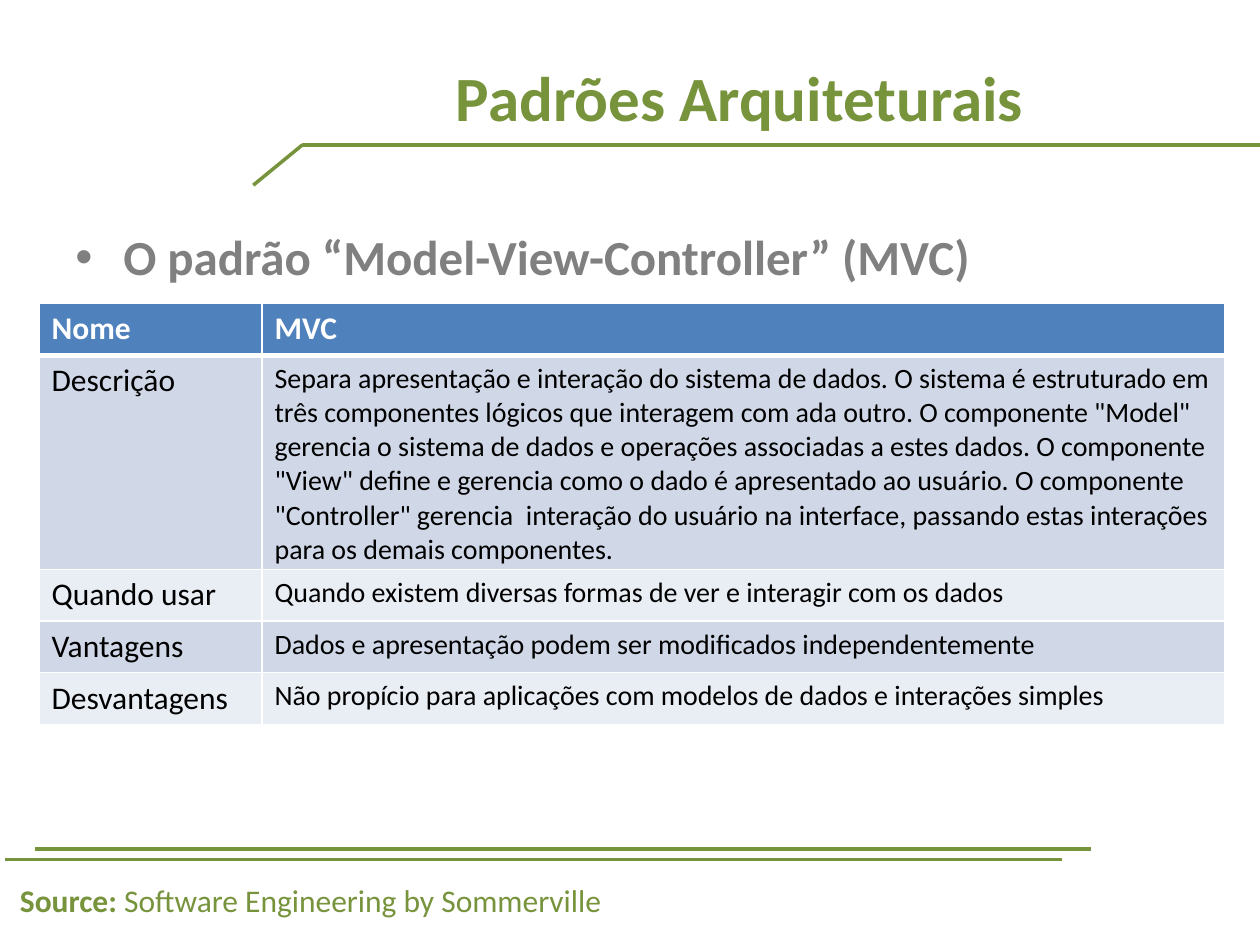
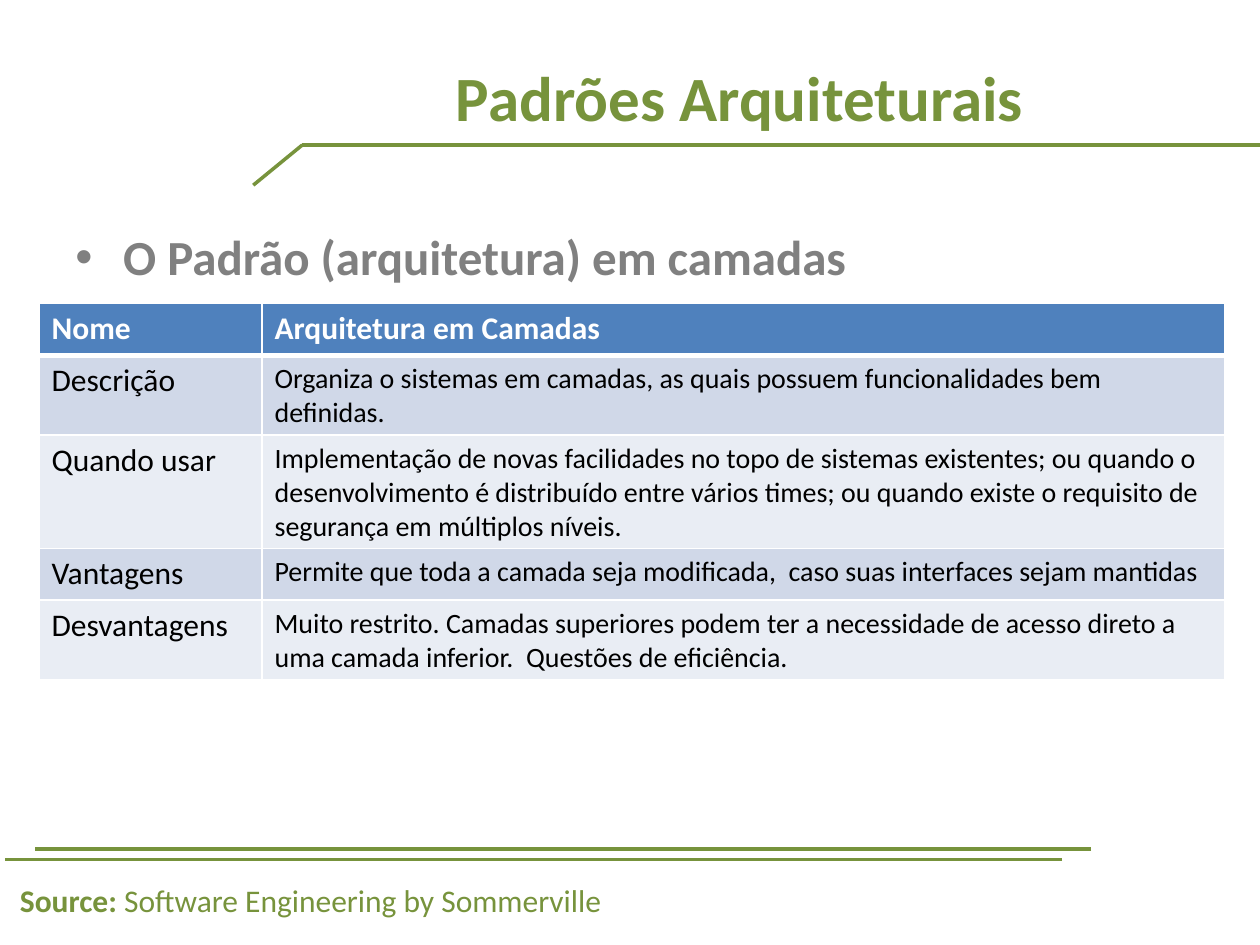
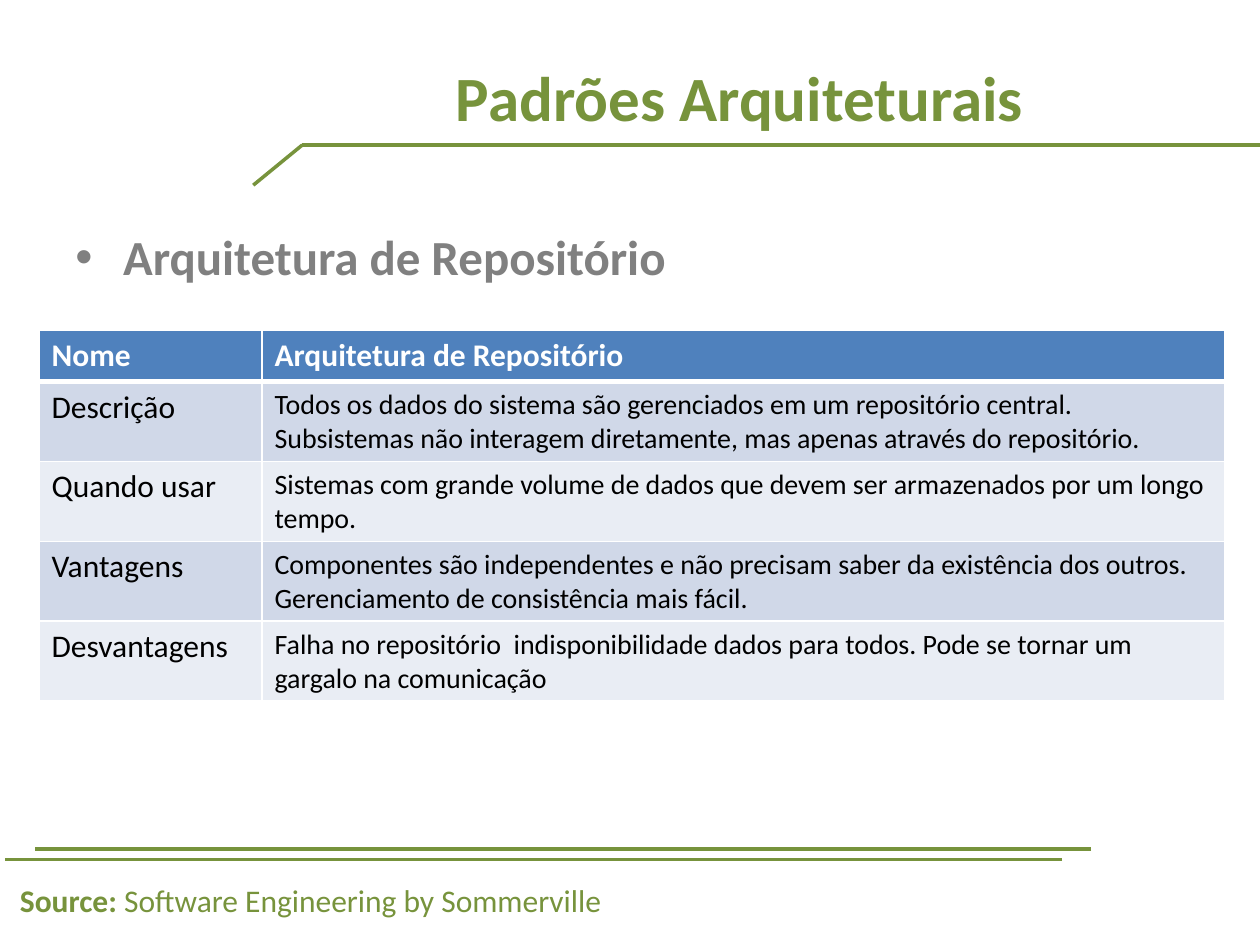
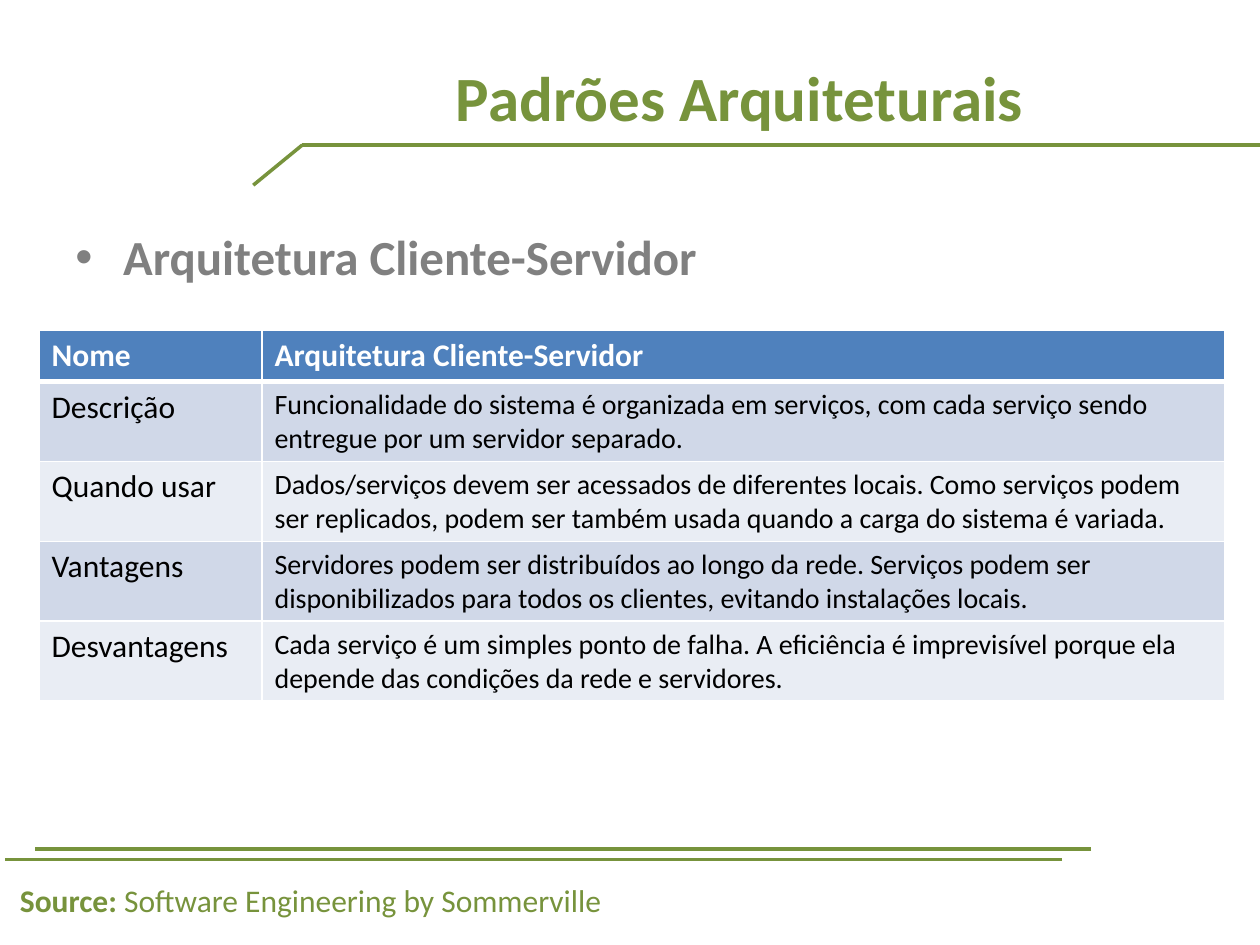
from dataclasses import dataclass

from lxml import etree
from pptx import Presentation
from pptx.dml.color import RGBColor
from pptx.enum.shapes import MSO_CONNECTOR
from pptx.enum.text import MSO_ANCHOR, MSO_AUTO_SIZE, PP_ALIGN
from pptx.oxml.ns import qn
from pptx.util import Inches, Pt

STRAIGHT = MSO_CONNECTOR.STRAIGHT
MIDDLE = MSO_ANCHOR.MIDDLE
CENTER = PP_ALIGN.CENTER
FIT_SHAPE = MSO_AUTO_SIZE.SHAPE_TO_FIT_TEXT
BLANK = 6


@dataclass(frozen=True)
class Theme:
    font: str = "Calibri"
    green: str = "77933C"
    grey: str = "808080"
    white: str = "FFFFFF"
    black: str = "000000"
    header: str = "4F81BD"
    bands: tuple = ("D0D8E8", "E9EDF4")
    title_size: int = 36
    topic_size: int = 28
    label_size: int = 18
    detail_size: int = 16
    rule_width: int = 2
    border_width: int = 1
    header_border: int = 3


THEME = Theme()
TITLE = "Padrões Arquiteturais"
ROW_LABELS = ("Nome", "Descrição", "Quando usar", "Vantagens", "Desvantagens")
COLUMN_WIDTHS = (1.77, 7.64)
ROW_HEIGHT = 0.41
RULES = (
    (8.66, 6.74, 0.28, 6.74),
    (8.43, 6.82, 0.04, 6.82),
    (10, 1.15, 2.4, 1.15),
    (2.4, 1.15, 2.01, 1.47),
)

# Topic, topic box size, table top and height, then one text per row label
PATTERNS = (
    ("O padrão “Model-View-Controller” (MVC)", (9.22, 0.82), 2.41, 3.32, (
        "MVC",
        "Separa apresentação e interação do sistema de dados. O sistema é "
        "estruturado em três componentes lógicos que interagem com ada outro. "
        "O componente \"Model\" gerencia o sistema de dados e operações "
        "associadas a estes dados. O componente \"View\" define e gerencia "
        "como o dado é apresentado ao usuário. O componente \"Controller\" "
        "gerencia  interação do usuário na interface, passando estas "
        "interações para os demais componentes.",
        "Quando existem diversas formas de ver e interagir com os dados",
        "Dados e apresentação podem ser modificados independentemente",
        "Não propício para aplicações com modelos de dados e interações simples",
    )),
    ("O Padrão (arquitetura) em camadas", (9, 4.95), 2.41, 2.98, (
        "Arquitetura em Camadas",
        "Organiza o sistemas em camadas, as quais possuem funcionalidades bem "
        "definidas.",
        "Implementação de novas facilidades no topo de sistemas existentes; ou "
        "quando o desenvolvimento é distribuído entre vários times; ou quando "
        "existe o requisito de segurança em múltiplos níveis.",
        "Permite que toda a camada seja modificada,  caso suas interfaces "
        "sejam mantidas",
        "Muito restrito. Camadas superiores podem ter a necessidade de acesso "
        "direto a  uma camada inferior.  Questões de eficiência.",
    )),
    ("Arquitetura de Repositório", (9, 0.58), 2.62, 2.94, (
        "Arquitetura de Repositório",
        "Todos os dados do sistema são gerenciados em um repositório central. "
        "Subsistemas não interagem diretamente, mas apenas através do "
        "repositório.",
        "Sistemas com grande volume de dados que devem ser armazenados por um "
        "longo tempo.",
        "Componentes são independentes e não precisam saber da existência dos "
        "outros. Gerenciamento de consistência mais fácil.",
        "Falha no repositório  indisponibilidade dados para todos. Pode se "
        "tornar um gargalo na comunicação",
    )),
    ("Arquitetura Cliente-Servidor", (9, 4.28), 2.62, 2.94, (
        "Arquitetura Cliente-Servidor",
        "Funcionalidade do sistema é organizada em serviços, com cada serviço "
        "sendo entregue por um servidor separado.",
        "Dados/serviços devem ser acessados de diferentes locais. Como "
        "serviços podem ser replicados, podem ser também usada quando a carga "
        "do sistema é variada.",
        "Servidores podem ser distribuídos ao longo da rede. Serviços podem "
        "ser disponibilizados para todos os clientes, evitando instalações "
        "locais.",
        "Cada serviço é um simples ponto de falha. A eficiência é imprevisível "
        "porque ela depende das condições da rede e servidores.",
    )),
)


def rgb(color):
    return RGBColor.from_string(color)


def style_run(r, size, color, bold):
    r.font.name = THEME.font
    r.font.size = Pt(size)
    r.font.color.rgb = rgb(color)
    r.font.bold = bold


def add_text(s, box, text, size, color):
    """Add a bold one-paragraph text box and return its text frame."""
    tf = s.shapes.add_textbox(*map(Inches, box)).text_frame
    tf.word_wrap = True
    tf.text = text
    style_run(tf.paragraphs[0].runs[0], size, color, True)
    return tf


def add_rule(s, x1, y1, x2, y2):
    line = s.shapes.add_connector(STRAIGHT, *map(Inches, (x1, y1, x2, y2)))
    line.line.color.rgb = rgb(THEME.green)
    line.line.width = Pt(THEME.rule_width)
    etree.SubElement(line._element.spPr, qn("a:effectLst"))


def add_frame(s):
    """Add the rules, source note and title that every slide shares."""
    for rule in RULES:
        add_rule(s, *rule)
    tf = add_text(s, (0.06, 6.94, 4.93, 0.4), "Source: ",
                  THEME.label_size, THEME.green)
    tf.word_wrap = False
    tf.auto_size = FIT_SHAPE
    r = tf.paragraphs[0].add_run()
    r.text = "Software Engineering by Sommerville"
    style_run(r, THEME.label_size, THEME.green, False)
    tf = add_text(s, (2.24, 0.14, 7.26, 1.25), TITLE,
                  THEME.title_size, THEME.green)
    tf.vertical_anchor = MIDDLE
    tf.paragraphs[0].alignment = CENTER


def add_topic(s, text, size):
    tf = add_text(s, (0.5, 1.75, *size), text, THEME.topic_size, THEME.grey)
    pPr = tf.paragraphs[0]._p.get_or_add_pPr()
    indent = Inches(0.38)
    pPr.set("marL", str(indent))
    pPr.set("indent", str(-indent))
    before = etree.SubElement(pPr, qn("a:spcBef"))
    etree.SubElement(before, qn("a:spcPct"), val="20000")
    etree.SubElement(pPr, qn("a:buFont"), typeface="Arial")
    etree.SubElement(pPr, qn("a:buChar"), char="•")


def set_borders(cell, top, bottom):
    """Draw white cell borders; top and bottom are widths in points."""
    tcPr = cell._tc.get_or_add_tcPr()
    side = THEME.border_width
    for tag, width in (("lnL", side), ("lnR", side), ("lnT", top), ("lnB", bottom)):
        ln = etree.SubElement(tcPr, qn(f"a:{tag}"), w=str(Pt(width)))
        fill = etree.SubElement(ln, qn("a:solidFill"))
        etree.SubElement(fill, qn("a:srgbClr"), val=THEME.white)


def fill_cell(cell, text, row, column):
    is_header = row == 0
    thin, thick = THEME.border_width, THEME.header_border
    set_borders(cell, thick if row == 1 else thin, thick if is_header else thin)
    cell.fill.solid()
    cell.fill.fore_color.rgb = rgb(
        THEME.header if is_header else THEME.bands[(row - 1) % 2])
    cell.text_frame.text = text
    is_label = is_header or column == 0
    style_run(cell.text_frame.paragraphs[0].runs[0],
              THEME.label_size if is_label else THEME.detail_size,
              THEME.white if is_header else THEME.black, is_header)


def add_pattern_table(s, top, height, details):
    frame = s.shapes.add_table(
        len(ROW_LABELS), len(COLUMN_WIDTHS), Inches(0.31), Inches(top),
        Inches(sum(COLUMN_WIDTHS)), Inches(height))
    table = frame.table
    for column, width in zip(table.columns, COLUMN_WIDTHS):
        column.width = Inches(width)
    for i, texts in enumerate(zip(ROW_LABELS, details)):
        table.rows[i].height = Inches(ROW_HEIGHT)
        for j, text in enumerate(texts):
            fill_cell(table.cell(i, j), text, i, j)
    frame.height = Inches(height)


def main():
    prs = Presentation()
    prs.slide_width, prs.slide_height = Inches(10), Inches(7.5)
    for topic, topic_size, top, height, details in PATTERNS:
        s = prs.slides.add_slide(prs.slide_layouts[BLANK])
        add_frame(s)
        add_topic(s, topic, topic_size)
        add_pattern_table(s, top, height, details)
    prs.save("out.pptx")


if __name__ == "__main__":
    main()
